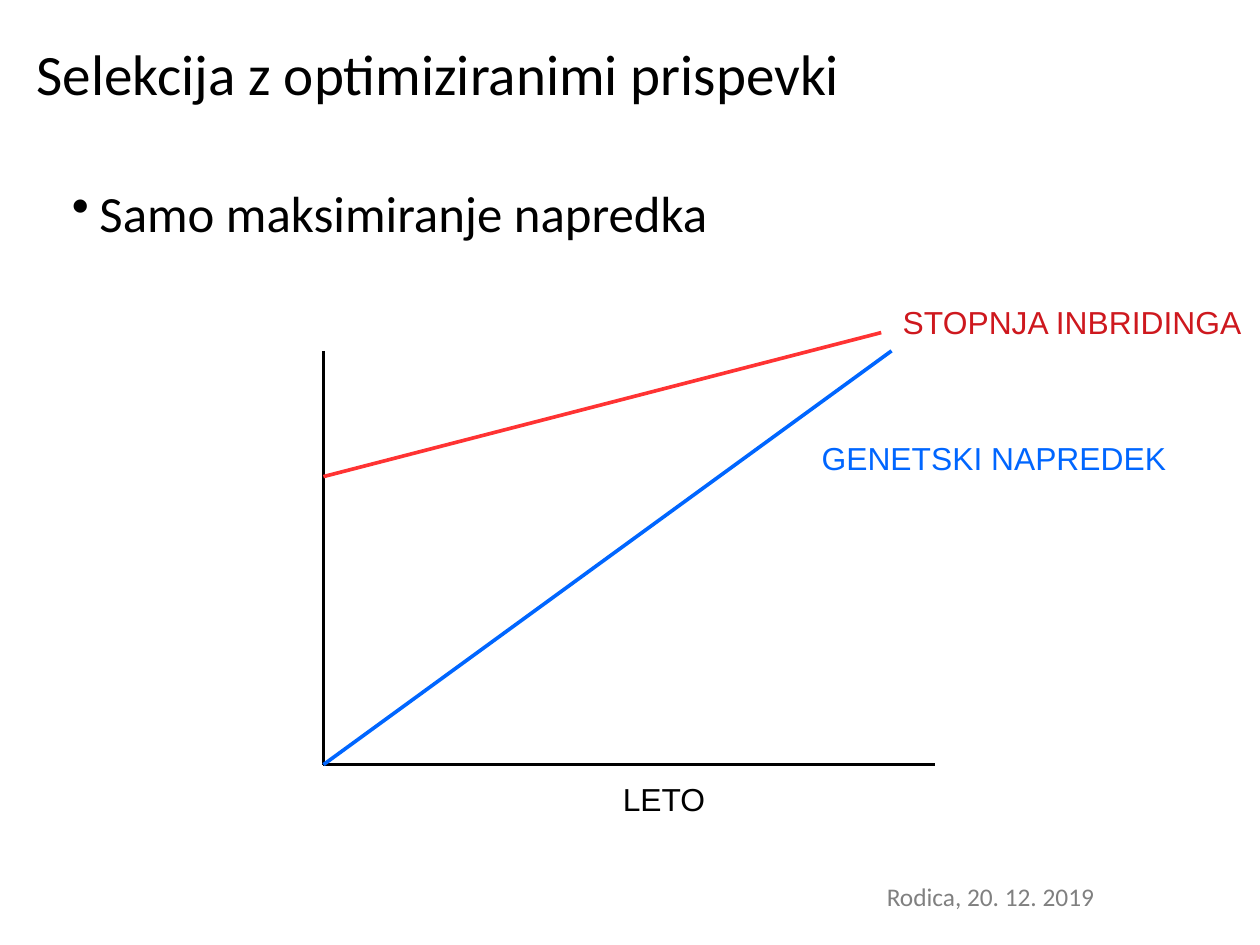
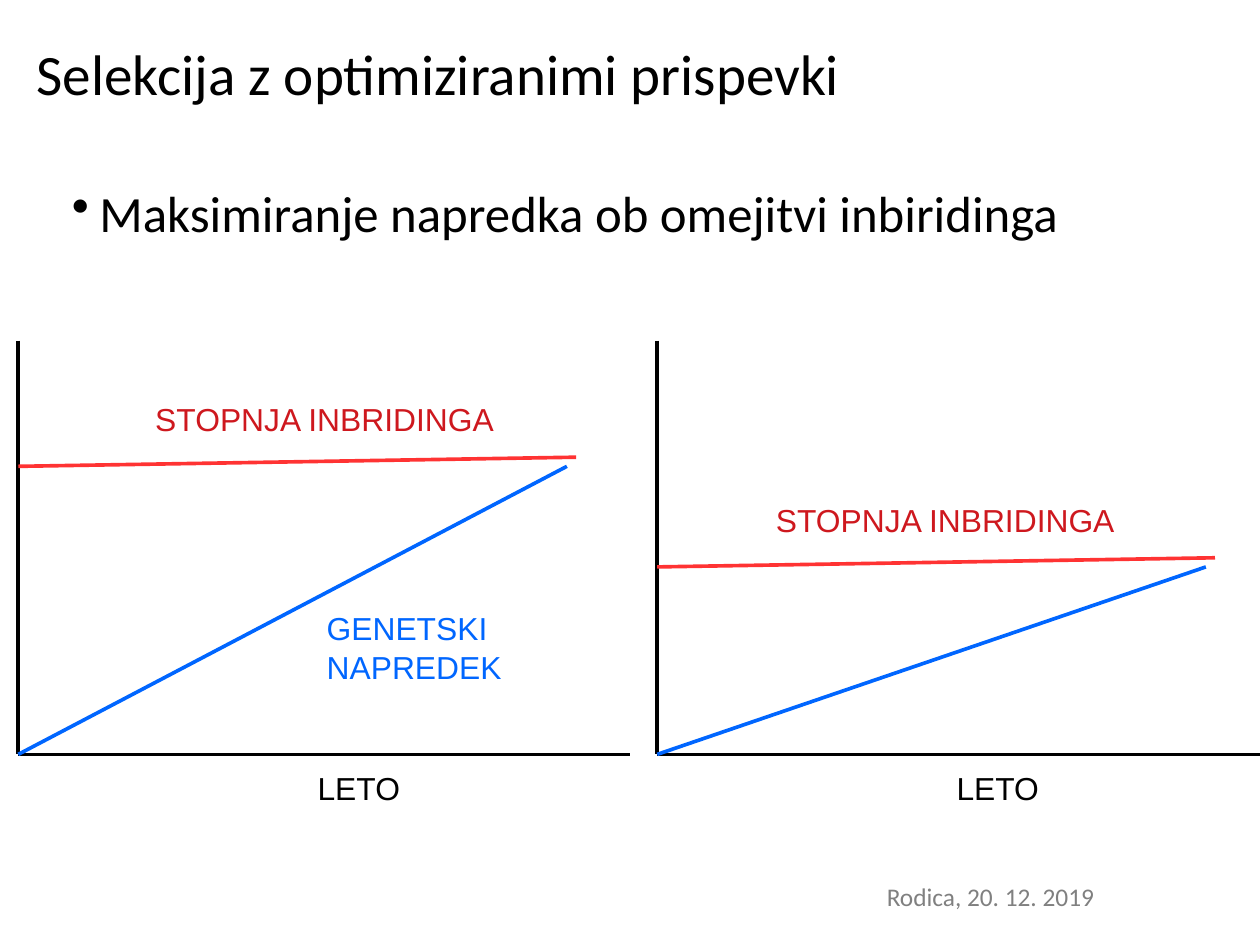
from lxml.etree import SubElement
from pptx import Presentation
from pptx.dml.color import RGBColor
from pptx.enum.shapes import MSO_CONNECTOR
from pptx.enum.text import MSO_ANCHOR
from pptx.oxml.ns import qn
from pptx.util import Cm, Inches, Pt

# Shared style
BLACK = RGBColor(0x00, 0x00, 0x00)
GREY = RGBColor(0x80, 0x80, 0x80)
RED_LINE = RGBColor(0xFF, 0x33, 0x33)
RED_TEXT = RGBColor(0xCE, 0x18, 0x1E)
BLUE = RGBColor(0x00, 0x66, 0xFF)
HEADING_FONT, LABEL_FONT = "Calibri", "Arial"
TITLE = "Selekcija z optimiziranimi prispevki"
FOOTER = "Rodica, 20. 12. 2019"

# Graph proportions, in inches
AXIS_WIDTH, AXIS_HEIGHT = 5.35, 3.62
INBREEDING_WIDTH = 4.88


def add_text(page, text, left, top, width, height, size, color, font=LABEL_FONT):
    box = page.shapes.add_textbox(Inches(left), Inches(top), Inches(width), Inches(height))
    frame = box.text_frame
    frame.word_wrap = True
    frame.text = text
    for span in frame.paragraphs[0].runs:
        span.font.name = font
        span.font.size = Pt(size)
        span.font.color.rgb = color
    return frame


def add_heading(page, text, left, top, size):
    frame = add_text(page, text, left, top, 9.02, 1.04, size, BLACK, HEADING_FONT)
    frame.vertical_anchor = MSO_ANCHOR.MIDDLE
    frame.margin_left = frame.margin_right = frame.margin_bottom = 0
    frame.margin_top = Inches(0.03)
    return frame.paragraphs[0]


def add_bullet(para):
    properties = para._p.get_or_add_pPr()
    properties.set("marL", str(Inches(0.24)))
    properties.set("indent", str(-Inches(0.24)))
    SubElement(properties, qn("a:buChar")).set("char", "•")


def add_line(page, start, end, color):
    line = page.shapes.add_connector(
        MSO_CONNECTOR.STRAIGHT, *(Inches(value) for value in (*start, *end)))
    line.line.color.rgb = color
    line.line.width = Pt(2.3)
    SubElement(line._element.spPr, qn("a:effectLst"))


def add_label(page, text, left, top, color, width=3.54, height=0.41):
    add_text(page, text, left, top, width, height, 20, color)


def add_graph(page, left, base, inbreeding, progress):
    """Draw axes and trends; inbreeding is (start, rise), progress is (width, rise)."""
    origin = (left, base)
    start, rise = inbreeding
    add_line(page, (left, base - AXIS_HEIGHT), origin, BLACK)
    add_line(page, origin, (left + AXIS_WIDTH, base), BLACK)
    add_line(page, (left, base - start),
             (left + INBREEDING_WIDTH, base - start - rise), RED_LINE)
    add_line(page, origin, (left + progress[0], base - progress[1]), BLUE)
    add_label(page, "LETO", left + 2.52, base + 0.08, BLACK, width=2.05)


def add_page(deck, point):
    page = deck.slides.add_slide(deck.slide_layouts[6])
    add_text(page, FOOTER, 7.66, 7.66, 3.12, 0.48, 16, GREY, HEADING_FONT)
    add_heading(page, TITLE, 0.32, 0.13, 36).line_spacing = 0.93
    add_bullet(add_heading(page, point, 0.63, 1.32, 32))
    return page


def main():
    deck = Presentation()
    deck.slide_width, deck.slide_height = Cm(28), Cm(21)

    # Progress only
    page = add_page(deck, "Samo maksimiranje napredka")
    add_graph(page, 2.83, 6.69, inbreeding=(2.52, 1.26), progress=(4.97, 3.62))
    add_label(page, "GENETSKI NAPREDEK", 7.09, 3.79, BLUE)
    add_label(page, "STOPNJA INBRIDINGA", 7.8, 2.6, RED_TEXT)

    # Progress with limited inbreeding
    page = add_page(deck, "Maksimiranje napredka ob omejitvi inbiridinga")
    for left, level, label_left, label_top in ((0.16, 2.52, 1.26, 3.45),
                                               (5.75, 1.64, 6.69, 4.33)):
        add_graph(page, left, 6.6, inbreeding=(level, 0.08), progress=(4.8, level))
        add_label(page, "STOPNJA INBRIDINGA", label_left, label_top, RED_TEXT)
    add_label(page, "GENETSKI \vNAPREDEK", 2.76, 5.28, BLUE, height=0.72)

    deck.save("out.pptx")


if __name__ == "__main__":
    main()
